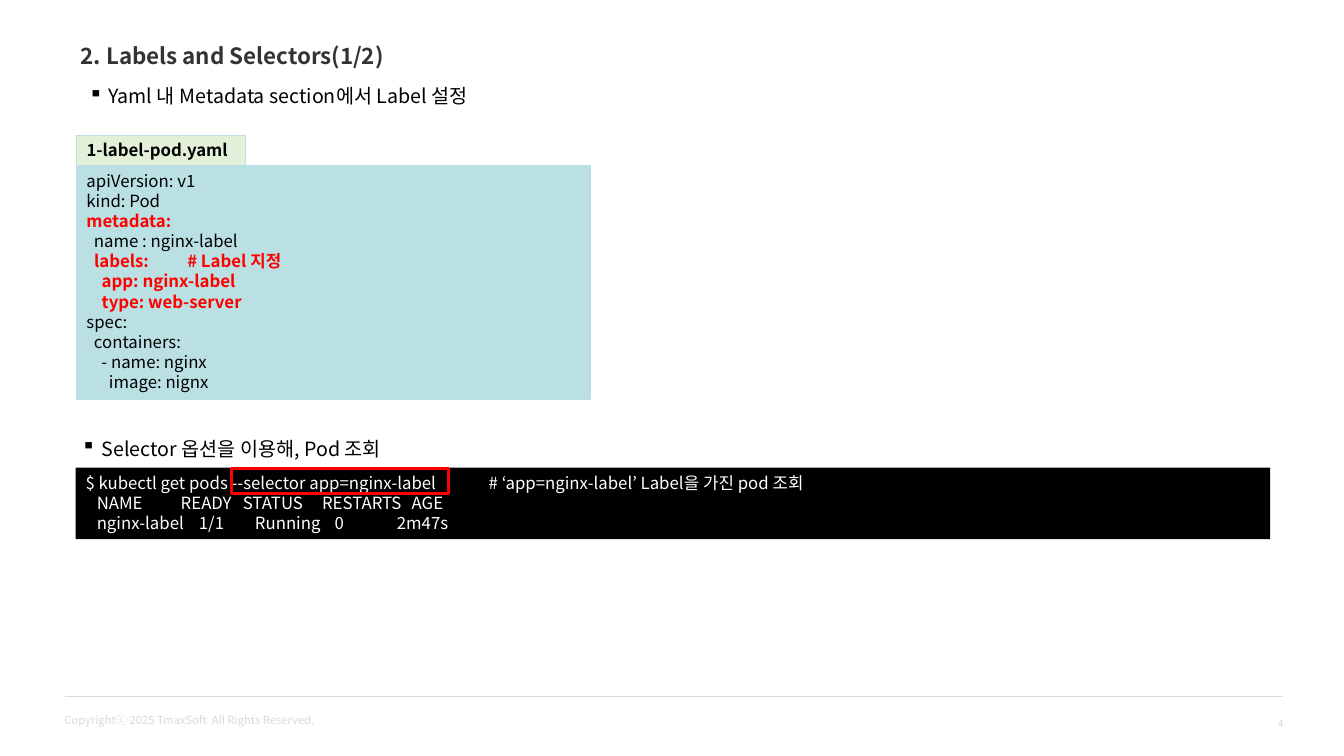
from lxml.etree import SubElement
from pptx import Presentation
from pptx.dml.color import RGBColor
from pptx.enum.shapes import MSO_CONNECTOR, MSO_SHAPE
from pptx.enum.text import MSO_ANCHOR, PP_ALIGN
from pptx.oxml.ns import qn
from pptx.util import Pt

FONT = "Noto Sans CJK KR"
COLORS = {
    "title": "333333", "text": "000000", "accent": "FF0000",
    "code": "BBE0E3", "file": "E2F0D9", "terminal": "000000",
    "output": "FFFFFF", "rule": "DBDBDB", "footer": "D9D9D9",
}
YAML_LINES = [
    "apiVersion: v1",
    "kind: Pod",
    "metadata:",
    "  name : nginx-label",
    "  labels:\t# Label 지정",
    "    app: nginx-label",
    "    type: web-server",
    "spec:",
    "  containers:",
    "    - name: nginx",
    "      image: nignx",
]
LABEL_LINES = {2, 4, 5, 6}
# Each terminal line with its tab stops in points
TERMINAL_LINES = [
    ("$ kubectl get pods --selector app=nginx-label\t# ‘app=nginx-label’ Label을 가진 pod 조회", [288]),
    ("   NAME\tREADY\tSTATUS\tRESTARTS\tAGE", [68, 112.4, 169, 233]),
    ("   nginx-label\t1/1\tRunning\t0\t2m47s", [81, 121, 178, 222.4]),
]


def color(key):
    return RGBColor.from_string(COLORS[key])


def format_paragraph(paragraph, size, key, bold=False):
    paragraph.line_spacing = Pt(size * 1.2)
    for run in paragraph.runs:
        run.font.size = Pt(size)
        run.font.bold = bold
        run.font.name = FONT
        run.font.color.rgb = color(key)
        SubElement(run.font._element, qn("a:ea"), typeface=FONT)


def prepare_frame(frame, wrap=True, anchor=MSO_ANCHOR.TOP):
    frame.word_wrap = wrap
    frame.vertical_anchor = anchor
    frame.margin_left = frame.margin_right = Pt(7.2)
    frame.margin_top = frame.margin_bottom = Pt(3.6)


def add_text(slide, text, box, size, key, wrap=True, anchor=MSO_ANCHOR.TOP):
    frame = slide.shapes.add_textbox(*map(Pt, box)).text_frame
    prepare_frame(frame, wrap, anchor)
    frame.text = text
    format_paragraph(frame.paragraphs[0], size, key)
    return frame.paragraphs[0]


def add_panel(slide, box, fill=None, line=None, line_width=0.75):
    panel = slide.shapes.add_shape(MSO_SHAPE.RECTANGLE, *map(Pt, box))
    panel.shadow.inherit = False
    if fill:
        panel.fill.solid()
        panel.fill.fore_color.rgb = color(fill)
    else:
        panel.fill.background()
    if line:
        panel.line.color.rgb = color(line)
        panel.line.width = Pt(line_width)
    else:
        panel.line.fill.background()
    prepare_frame(panel.text_frame)
    return panel.text_frame


def fill_lines(frame, lines):
    frame.text = "\n".join(lines)
    for paragraph in frame.paragraphs:
        paragraph.alignment = PP_ALIGN.LEFT
    return frame.paragraphs


def add_title(slide, text, box):
    title = slide.shapes.title
    title.left, title.top, title.width, title.height = map(Pt, box)
    prepare_frame(title.text_frame)
    title.text_frame.text = text
    paragraph = title.text_frame.paragraphs[0]
    paragraph.alignment = PP_ALIGN.LEFT
    format_paragraph(paragraph, 16, "title", bold=True)


def add_bullet(slide, text, box):
    paragraph = add_text(slide, text, box, 14, "text")
    properties = paragraph._p.get_or_add_pPr()
    properties.set("marL", str(Pt(14.4)))
    properties.set("indent", str(-Pt(14.4)))
    SubElement(properties, qn("a:buChar"), char="▪")


def add_yaml_file(slide, file_name, lines, box):
    """Place the file name tab on top of the code panel, inside box."""
    left, top, width, height = box
    tab_width, tab_height = 121, 21.6
    code_box = (left, top + tab_height, width, height - tab_height)
    code = add_panel(slide, code_box, "code", "code")
    for index, paragraph in enumerate(fill_lines(code, lines)):
        marked = index in LABEL_LINES
        format_paragraph(paragraph, 12, "accent" if marked else "text", marked)
    tab = add_panel(slide, (left, top, tab_width, tab_height), "file", "code")
    format_paragraph(fill_lines(tab, [file_name])[0], 12, "text", bold=True)


def add_terminal(slide, lines, box):
    """Place the terminal panel and the frame around the selector option."""
    left, top = box[:2]
    terminal = add_panel(slide, box, "terminal")
    paragraphs = fill_lines(terminal, [text for text, _ in lines])
    for paragraph, (_, stops) in zip(paragraphs, lines):
        format_paragraph(paragraph, 12, "output")
        tabs = SubElement(paragraph._p.get_or_add_pPr(), qn("a:tabLst"))
        for stop in stops:
            SubElement(tabs, qn("a:tab"), pos=str(Pt(stop)), algn="l")
    add_panel(slide, (left + 111.6, top + 0.7, 154.8, 18), line="accent", line_width=2.25)


def add_footer(slide, box):
    left, top, width, _ = box
    page = add_text(slide, "4", (left + width - 68.4, top - 4.3, 75.6, 46.8),
                    7, "footer", anchor=MSO_ANCHOR.MIDDLE)
    page.alignment = PP_ALIGN.RIGHT
    rule = slide.shapes.add_connector(
        MSO_CONNECTOR.STRAIGHT, Pt(left), Pt(top), Pt(left + width), Pt(top))
    rule.line.color.rgb = color("rule")
    rule.line.width = Pt(0.5)
    SubElement(rule._element.spPr, qn("a:effectLst"))
    add_text(slide, "Copyrightⓒ 2025 TmaxSoft  All Rights Reserved.",
             (left - 7.2, top + 8.6, 194.4, 17.3), 8, "footer", wrap=False)


def build_labels_slide(deck):
    slide = deck.slides.add_slide(deck.slide_layouts[5])
    add_footer(slide, (46.1, 497.5, 870.5, 42.5))
    add_title(slide, "2. Labels and Selectors(1/2)", (50.4, 26.6, 412.6, 26.6))
    add_bullet(slide, "Yaml 내 Metadata section에서 Label 설정", (56.2, 56.2, 776.2, 24.5))
    add_yaml_file(slide, "1-label-pod.yaml", YAML_LINES, (54.7, 96.5, 367.2, 188.6))
    add_bullet(slide, "Selector 옵션을 이용해, Pod 조회", (51.1, 308.2, 859.7, 24.5))
    add_terminal(slide, TERMINAL_LINES, (54, 334.1, 853.2, 51.1))


def main():
    deck = Presentation()
    deck.slide_width, deck.slide_height = Pt(960), Pt(540)
    build_labels_slide(deck)
    deck.save("out.pptx")


if __name__ == "__main__":
    main()
